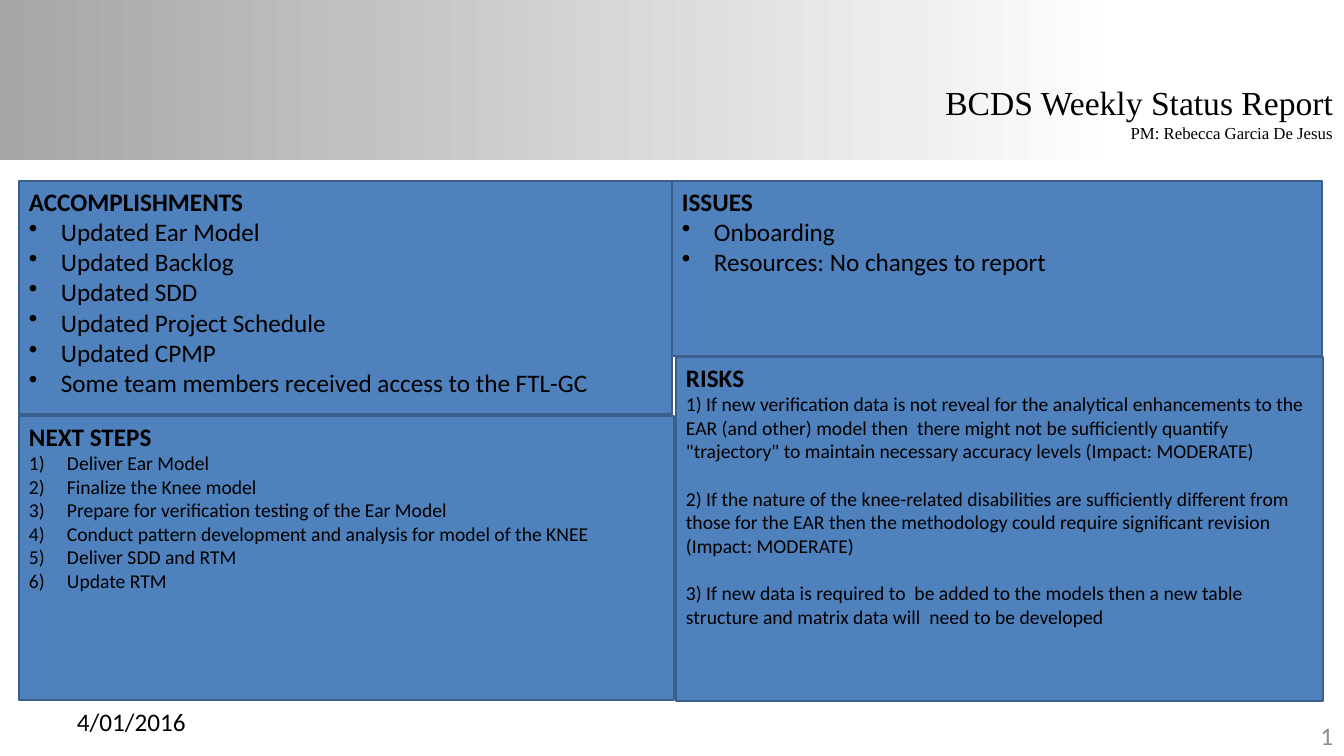
"""Build the weekly status report slide."""
from lxml import etree
from pptx import Presentation
from pptx.dml.color import RGBColor
from pptx.enum.shapes import MSO_SHAPE
from pptx.enum.text import MSO_ANCHOR, PP_ALIGN
from pptx.oxml.ns import qn
from pptx.util import Pt

RECTANGLE = MSO_SHAPE.RECTANGLE
TOP, MIDDLE = MSO_ANCHOR.TOP, MSO_ANCHOR.MIDDLE
LEFT, RIGHT = PP_ALIGN.LEFT, PP_ALIGN.RIGHT
PX = 914400 / 100.8
SLIDE_SIZE = (1344, 756)
BANNER = (0, 0, 1344, 160)
BANNER_STOPS = [(0, "A6A6A6"), (0.84, "FFFFFF")]
BODY_FONT, TITLE_FONT = "Calibri", "Times New Roman"
BLACK, GREY, PANEL_FILL, PANEL_LINE = "000000", "8C8C8C", "4F81BD", "3A5F8C"

LABELS = [
    ((1030, 715, 313, 40), [("1", 18)], BODY_FONT, GREY, RIGHT, MIDDLE, True),
    ((67, 701, 313, 40), [("4/01/2016", 18)], BODY_FONT, BLACK, LEFT, MIDDLE, True),
    ((932, 77, 411, 72),
     [("BCDS Weekly Status Report", 24), ("PM: Rebecca Garcia De Jesus", 12)],
     TITLE_FONT, BLACK, RIGHT, TOP, False),
]

BULLETS = {"size": 18, "indent": 32, "marker": ("a:buChar", "char", "•"), "gap": 0}
NUMBERS = {"size": 14, "indent": 38, "marker": ("a:buAutoNum", "type", "arabicParenR"), "gap": 0}
PROSE = {"size": 14, "indent": 0, "marker": None, "gap": 17}

PANELS = [
    ((19, 181, 653, 234), "ACCOMPLISHMENTS", BULLETS, [
        "Updated Ear Model",
        "Updated Backlog",
        "Updated SDD",
        "Updated Project Schedule",
        "Updated CPMP",
        "Some team members received access to the FTL-GC",
    ]),
    ((19, 416, 655, 284), "NEXT STEPS", NUMBERS, [
        "Deliver Ear Model",
        "Finalize the Knee model",
        "Prepare for verification testing of the Ear Model",
        "Conduct pattern development and analysis for model of the KNEE",
        "Deliver SDD and RTM",
        "Update RTM",
    ]),
    ((672, 181, 650, 175), "ISSUES", BULLETS, [
        "Onboarding",
        "Resources: No changes to report",
    ]),
    ((676, 357, 647, 344), "RISKS", PROSE, [
        "1) If new verification data is not reveal for the analytical enhancements to the EAR "
        "(and other) model then  there might not be sufficiently quantify \"trajectory\" to "
        "maintain necessary accuracy levels (Impact: MODERATE)",
        "2) If the nature of the knee-related disabilities are sufficiently different from those "
        "for the EAR then the methodology could require significant revision (Impact: MODERATE)",
        "3) If new data is required to  be added to the models then a new table structure and "
        "matrix data will  need to be developed",
    ]),
]


def emu(box):
    return [round(length * PX) for length in box]


def color(value):
    return RGBColor.from_string(value)


def add_rectangle(slide, box):
    shape = slide.shapes.add_shape(RECTANGLE, *emu(box))
    shape.shadow.inherit = False
    return shape


def write_lines(frame, lines, font_name, text_color, alignment):
    for index, (text, size) in enumerate(lines):
        paragraph = frame.add_paragraph() if index else frame.paragraphs[0]
        paragraph.text = text
        paragraph.alignment = alignment
        font = paragraph.font
        font.name, font.size = font_name, Pt(size)
        font.color.rgb = color(text_color)


def set_marker(paragraph, marker, indent):
    tag, attribute, value = marker
    properties = paragraph._p.get_or_add_pPr()
    width = round(indent * PX)
    properties.set("marL", str(width))
    properties.set("indent", str(-width))
    bullet = etree.Element(qn(tag), {attribute: value})
    properties.insert_element_before(bullet, "a:tabLst", "a:defRPr", "a:extLst")


def add_banner(slide):
    banner = add_rectangle(slide, BANNER)
    banner.line.fill.background()
    banner.fill.gradient()
    banner.fill.gradient_angle = 0
    for stop, (position, value) in zip(banner.fill.gradient_stops, BANNER_STOPS):
        stop.position = position
        stop.color.rgb = color(value)


def add_label(slide, box, lines, font_name, text_color, alignment, anchor, wrap):
    frame = slide.shapes.add_textbox(*emu(box)).text_frame
    frame.word_wrap = wrap
    frame.vertical_anchor = anchor
    write_lines(frame, lines, font_name, text_color, alignment)


def add_panel(slide, box, heading, style, items):
    panel = add_rectangle(slide, box)
    panel.fill.solid()
    panel.fill.fore_color.rgb = color(PANEL_FILL)
    panel.line.color.rgb = color(PANEL_LINE)
    panel.line.width = Pt(2)
    frame = panel.text_frame
    frame.word_wrap = True
    frame.vertical_anchor = TOP
    lines = [(heading, 18)] + [(item, style["size"]) for item in items]
    write_lines(frame, lines, BODY_FONT, BLACK, LEFT)
    title, *entries = frame.paragraphs
    title.font.bold = True
    for paragraph in entries:
        paragraph.space_after = Pt(style["gap"])
        if style["marker"]:
            set_marker(paragraph, style["marker"], style["indent"])


def main():
    presentation = Presentation()
    presentation.slide_width, presentation.slide_height = emu(SLIDE_SIZE)
    slide = presentation.slides.add_slide(presentation.slide_layouts[6])
    add_banner(slide)
    for label in LABELS:
        add_label(slide, *label)
    for panel in PANELS:
        add_panel(slide, *panel)
    presentation.save("out.pptx")


if __name__ == "__main__":
    main()
